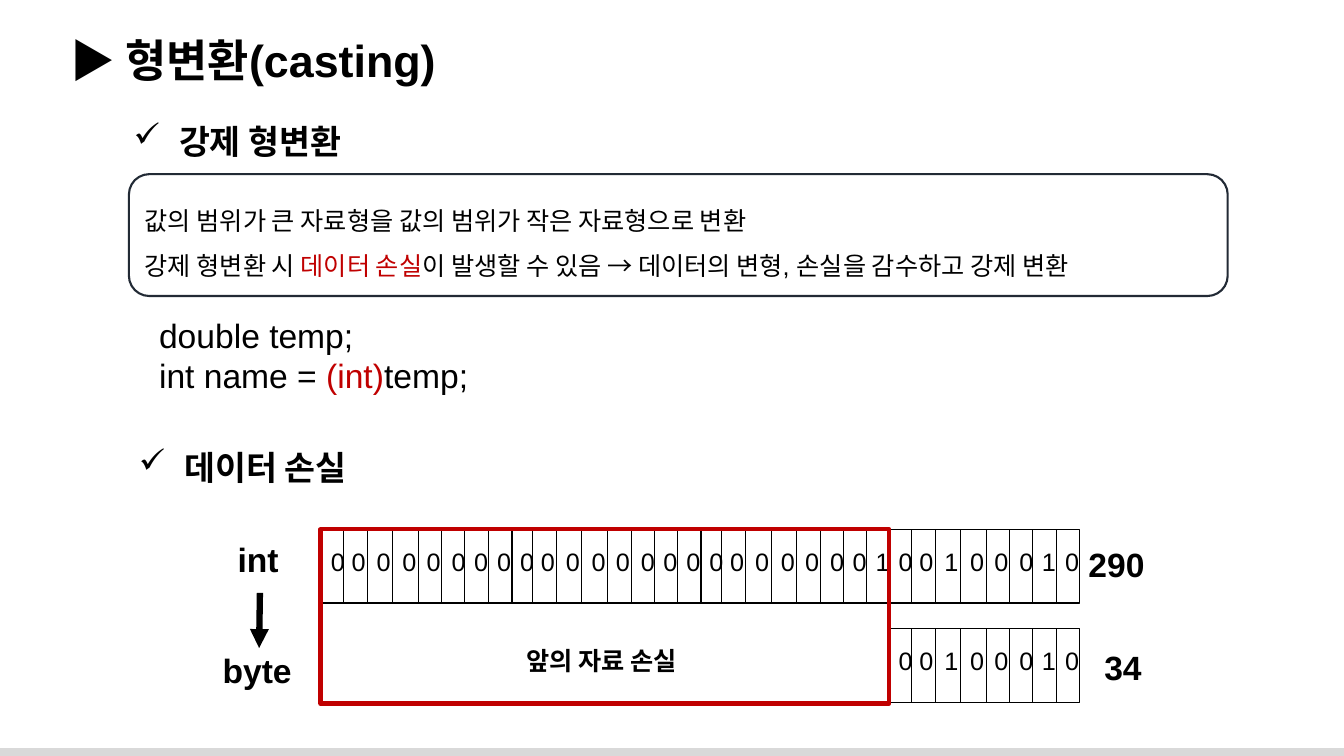
from dataclasses import dataclass
from typing import Any

from lxml.etree import SubElement
from pptx import Presentation
from pptx.dml.color import RGBColor
from pptx.enum.shapes import MSO_CONNECTOR, MSO_SHAPE
from pptx.enum.text import MSO_ANCHOR, MSO_AUTO_SIZE, PP_ALIGN
from pptx.oxml.ns import qn
from pptx.util import Cm, Pt

BLACK, RED, NAVY, GREY = "000000", "C00000", "222A35", "D9D9D9"
BYTE_LEFT, BYTE_WIDTH, BYTE_HEIGHT = 8.13, 4.77, 1.86
DIVIDERS = (0.52, 1.12, 1.76, 2.41, 3.0, 3.58, 4.17)
BIT_LEFTS = (0.05, 0.57, 1.2, 1.85, 2.46, 3.09, 3.66, 4.24)
BIT_DROP = 0.29

Line = list[tuple[str, str]]  # spans of (text, colour)


@dataclass(frozen=True)
class Box:
    left: float
    top: float
    width: float
    height: float

    def lengths(self) -> tuple[Cm, Cm, Cm, Cm]:
        return Cm(self.left), Cm(self.top), Cm(self.width), Cm(self.height)


@dataclass(frozen=True)
class Label:
    box: Box
    lines: list[Line]
    size: int = 24
    bold: bool = True
    align: PP_ALIGN = PP_ALIGN.LEFT
    checked: bool = False


@dataclass(frozen=True)
class BitRow:
    top: float
    first_byte: int
    bits: tuple[str, ...]


def plain(text: str) -> list[Line]:
    return [[(text, BLACK)]]


LABELS = [
    Label(Box(1.52, 0.71, 32, 1.63), plain("▶ 형변환(casting)"), size=32),
    Label(Box(3.12, 2.92, 6.35, 1.3), plain(" 강제 형변환"), checked=True),
    Label(Box(3.76, 7.8, 17.75, 2.31),
          [[("double temp;", BLACK)],
           [("int name = ", BLACK), ("(int)", RED), ("temp;", BLACK)]], bold=False),
    Label(Box(3.25, 11.13, 6.35, 1.3), plain(" 데이터 손실"), checked=True),
    Label(Box(5.74, 13.46, 1.98, 1.27), plain("int")),
    Label(Box(5.36, 16.26, 2.77, 1.27), plain("byte")),
    Label(Box(27.18, 13.59, 3.58, 1.27), plain("290")),
    Label(Box(27.58, 16.18, 3.58, 1.27), plain("34")),
    Label(Box(9.02, 16.13, 12.29, 1.02), plain("앞의 자료 손실"), size=18,
          align=PP_ALIGN.CENTER),
]
EXPLANATION: list[Line] = [
    [("값의 범위가 큰 자료형을 값의 범위가 작은 자료형으로 변환", BLACK)],
    [("강제 형변환 시 ", BLACK), ("데이터 손실", RED),
     ("이 발생할 수 있음 → 데이터의 변형, 손실을 감수하고 강제 변환", BLACK)],
]
BIT_ROWS = [
    BitRow(13.34, 0, ("00000000", "00000000", "00000001", "00100010")),
    BitRow(15.84, 3, ("00100010",)),
]


def color(value: str) -> RGBColor:
    return RGBColor.from_string(value)


def set_values(target: Any, values: dict[str, Any]) -> None:
    for name, value in values.items():
        setattr(target, name, value)


def write_lines(frame: Any, lines: list[Line], size: int, bold: bool,
                para_format: dict[str, Any]) -> None:
    for index, line in enumerate(lines):
        para = frame.add_paragraph() if index else frame.paragraphs[0]
        set_values(para, para_format)
        for text, ink in line:
            span = para.add_run()
            span.text = text
            set_values(span.font, {"name": "Arial", "size": Pt(size), "bold": bold})
            span.font.color.rgb = color(ink)


def add_check_bullet(para: Any) -> None:
    properties = para._p.get_or_add_pPr()
    properties.set("marL", str(Cm(0.95)))
    properties.set("indent", str(Cm(-0.95)))
    SubElement(properties, qn("a:buChar")).set("char", "✓")


def add_label(shapes: Any, label: Label) -> None:
    frame = shapes.add_textbox(*label.box.lengths()).text_frame
    set_values(frame, {"word_wrap": not label.checked,
                       "auto_size": MSO_AUTO_SIZE.SHAPE_TO_FIT_TEXT})
    write_lines(frame, label.lines, label.size, label.bold, {"alignment": label.align})
    if label.checked:
        add_check_bullet(frame.paragraphs[0])


def add_outline(shapes: Any, kind: MSO_SHAPE, box: Box, ink: str, points: float) -> Any:
    shape = shapes.add_shape(kind, *box.lengths())
    shape.shadow.inherit = False
    shape.fill.background()
    shape.line.color.rgb = color(ink)
    shape.line.width = Pt(points)
    return shape


def add_line(shapes: Any, start: tuple[float, float], end: tuple[float, float],
             points: float) -> Any:
    line = shapes.add_connector(MSO_CONNECTOR.STRAIGHT, *map(Cm, start + end))
    line.line.color.rgb = color(BLACK)
    line.line.width = Pt(points)
    SubElement(line._element.spPr, qn("a:effectLst"))
    return line


def add_byte(shapes: Any, left: float, top: float, bits: str) -> None:
    """Draw one eight-bit cell strip with its digits."""
    add_outline(shapes, MSO_SHAPE.RECTANGLE,
                Box(left, top, BYTE_WIDTH, BYTE_HEIGHT), BLACK, 1)
    for offset in DIVIDERS:
        x = left + offset
        add_line(shapes, (x, top), (x, top + BYTE_HEIGHT), 0.5)
    for offset, bit in zip(BIT_LEFTS, bits):
        box = Box(left + offset, top + BIT_DROP, 0.41, 1.02)
        add_label(shapes, Label(box, plain(bit), 18, False, PP_ALIGN.CENTER))


def add_bit_row(page: Any, row: BitRow) -> None:
    group = page.shapes.add_group_shape()
    for index, bits in enumerate(row.bits, row.first_byte):
        add_byte(group.shapes, BYTE_LEFT + index * BYTE_WIDTH, row.top, bits)


def add_explanation(page: Any) -> None:
    panel = add_outline(page.shapes, MSO_SHAPE.ROUNDED_RECTANGLE,
                        Box(3.25, 4.39, 27.69, 3.07), NAVY, 1.5)
    set_values(panel.text_frame, {"word_wrap": True, "vertical_anchor": MSO_ANCHOR.MIDDLE})
    write_lines(panel.text_frame, EXPLANATION, 18, False,
                {"alignment": PP_ALIGN.LEFT, "line_spacing": 1.5})


def add_footer(page: Any) -> None:
    footer = page.shapes.add_shape(MSO_SHAPE.RECTANGLE, *Box(0, 18.85, 33.87, 0.2).lengths())
    footer.shadow.inherit = False
    footer.fill.solid()
    footer.fill.fore_color.rgb = color(GREY)
    footer.line.fill.background()


def add_down_arrow(page: Any) -> None:
    arrow = add_line(page.shapes, (6.55, 14.94), (6.53, 16.33), 4.5)
    SubElement(arrow.line._get_or_add_ln(), qn("a:tailEnd")).set("type", "triangle")


def main() -> None:
    deck = Presentation()
    set_values(deck, {"slide_width": Cm(33.87), "slide_height": Cm(19.05)})
    page = deck.slides.add_slide(deck.slide_layouts[6])
    add_footer(page)
    add_explanation(page)
    for row in BIT_ROWS:
        add_bit_row(page, row)
    add_down_arrow(page)
    add_outline(page.shapes, MSO_SHAPE.RECTANGLE, Box(8.08, 13.34, 14.33, 4.39), RED, 3)
    for label in LABELS:
        add_label(page.shapes, label)
    deck.save("out.pptx")


if __name__ == "__main__":
    main()
